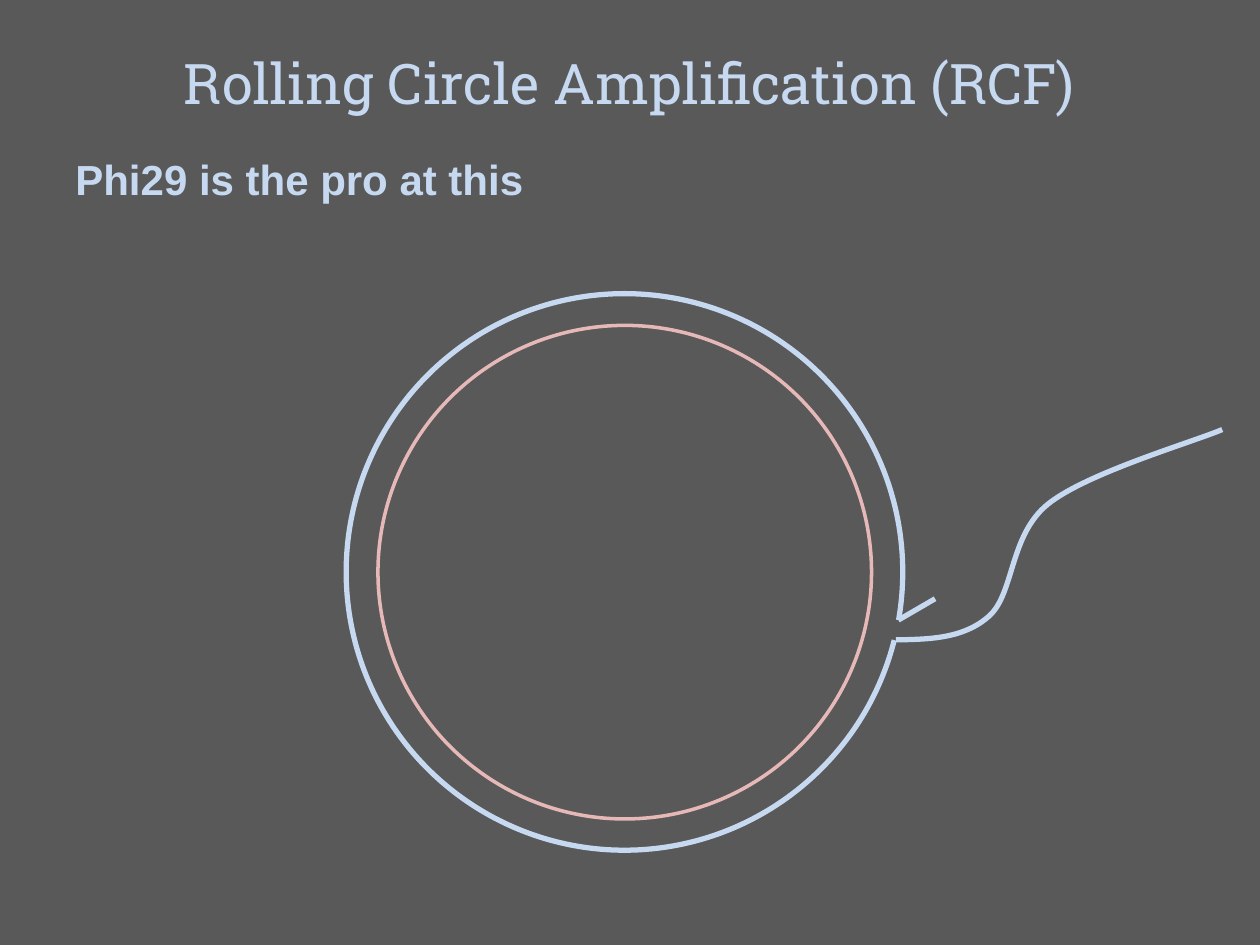
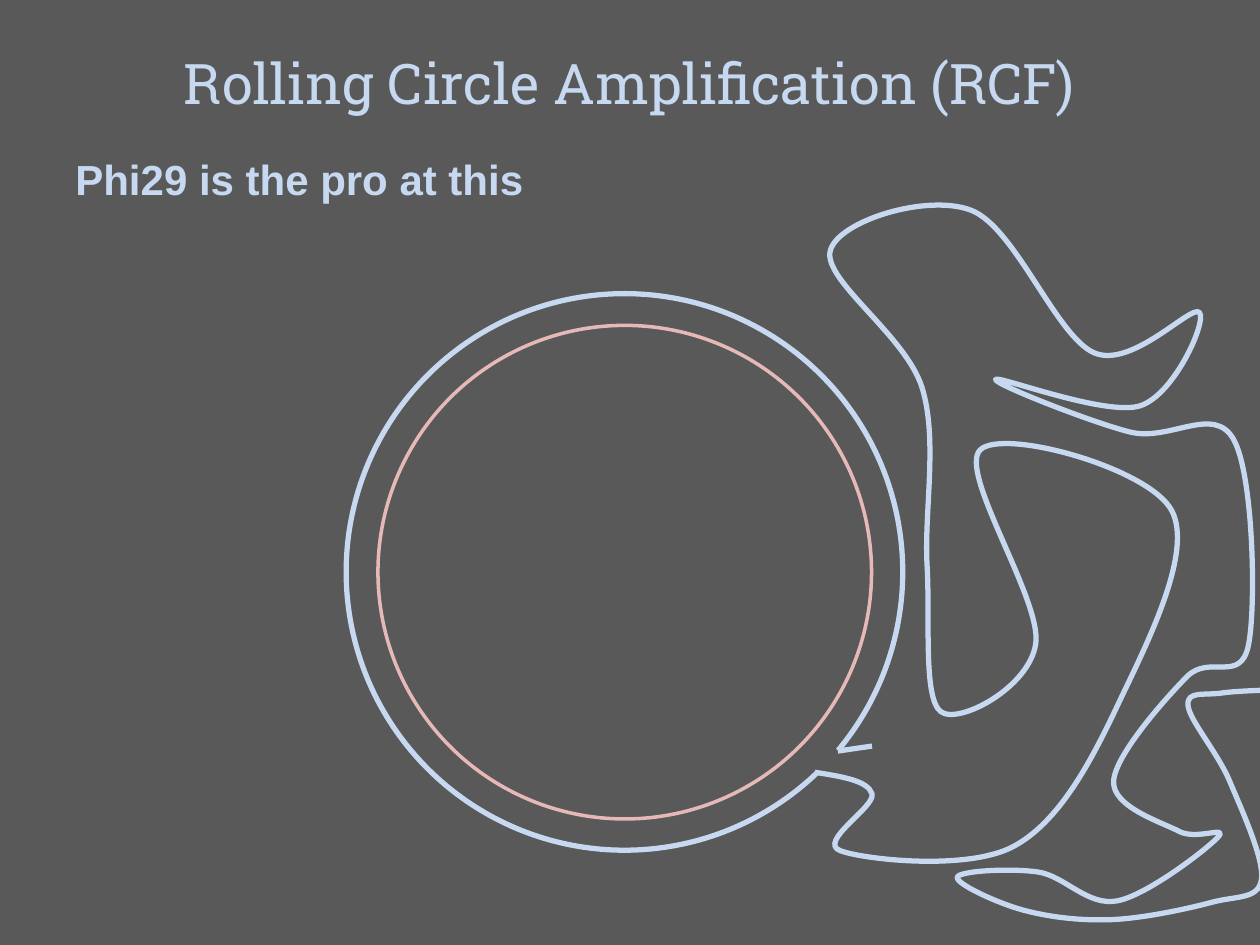
from pptx import Presentation
from pptx.dml.color import RGBColor
from pptx.enum.shapes import MSO_CONNECTOR, MSO_SHAPE
from pptx.enum.text import MSO_AUTO_SIZE, PP_ALIGN
from pptx.oxml.ns import qn
from pptx.util import Cm, Pt
from lxml import etree

COLOURS = {"background": "595959", "new_strand": "C6D9F1", "template": "E6B9B8"}

# Shared text: wording, box, size, font, bold, alignment
TEXTS = [
    ("Rolling Circle Amplification (RCF)", (0, 0.86, 25.4, 1.63),
     32, "Roboto Slab", False, PP_ALIGN.CENTER),
    ("Phi29 is the pro at this", (1.27, 2.97, 22.02, 1.27),
     24, "Arial", True, PP_ALIGN.LEFT),
]

# Each stage: arc start and end, the 3' tip, and the points the free strand passes
STAGES = [
    {
        "arc": (8.514, 5.979),
        "tip": (18.11, 12.5, 18.85, 12.07),
        "strand": [(18.06, 12.9), (19.94, 12.42), (21.13, 10.16), (24.64, 8.66)],
    },
    {
        "arc": (27.587, 23.937),
        "tip": (16.89, 15.14, 17.58, 15.04),
        "strand": [
            (16.43, 15.57), (17.58, 16), (16.94, 17.15), (20.42, 17.07),
            (22.53, 14.22), (23.62, 10.29), (19.76, 9.07), (20.88, 12.98),
            (18.97, 14.35), (18.69, 11.4), (18.59, 7.82), (16.74, 5.05),
            (19.58, 4.24), (22.05, 7.11), (24.18, 6.3), (22.99, 8.18),
            (20.07, 7.65), (22.78, 8.71), (24.87, 8.86), (25.17, 13),
            (23.93, 13.64), (22.45, 15.75), (23.77, 16.76), (24.56, 16.87),
            (22.53, 18.16), (20.93, 17.58), (19.3, 17.68), (20.6, 18.34),
            (22.4, 18.54), (24.43, 18.19), (25.43, 17.73), (24.79, 15.75),
            (23.95, 14.22), (24.64, 13.97), (26.24, 13.89),
        ],
    },
]


def add_curve(slide, stops):
    """Smooth curve through the stops; each handle is a sixth of the gap between neighbours."""
    last = len(stops) - 1
    points = []
    for i in range(last):
        start, end = stops[i], stops[i + 1]
        before, after = stops[max(i - 1, 0)], stops[min(i + 2, last)]
        leave = [s + (e - b) / 6 for s, e, b in zip(start, end, before)]
        arrive = [e - (a - s) / 6 for e, a, s in zip(end, after, start)]
        if i == 0:
            leave = [(s + h) / 2 for s, h in zip(start, arrive)]
        points += [(Cm(x), Cm(y)) for x, y in (leave, arrive, end)]
    builder = slide.shapes.build_freeform(Cm(stops[0][0]), Cm(stops[0][1]))
    builder.add_line_segments(points, close=False)
    curve = builder.convert_to_shape()

    # Every three straight segments become one Bézier segment
    segments = list(curve._element.iter(qn("a:lnTo")))
    for first, second, third in zip(segments[::3], segments[1::3], segments[2::3]):
        bezier = etree.Element(qn("a:cubicBezTo"))
        first.addprevious(bezier)
        for segment in (first, second, third):
            bezier.append(segment[0])
            segment.getparent().remove(segment)
    return curve


def style_outline(outline, colour, width):
    outline.fill.background()
    outline.line.color.rgb = RGBColor.from_string(COLOURS[colour])
    outline.line.width = Pt(width)
    outline.shadow.inherit = False


prs = Presentation()
prs.slide_width, prs.slide_height = Cm(25.4), Cm(19.05)

for stage in STAGES:
    slide = prs.slides.add_slide(prs.slide_layouts[6])
    slide.background.fill.solid()
    slide.background.fill.fore_color.rgb = RGBColor.from_string(COLOURS["background"])

    # Title and statement
    for wording, box, size, font, bold, alignment in TEXTS:
        frame = slide.shapes.add_textbox(*map(Cm, box)).text_frame
        frame.word_wrap = True
        frame.auto_size = MSO_AUTO_SIZE.SHAPE_TO_FIT_TEXT
        paragraph = frame.paragraphs[0]
        paragraph.alignment = alignment
        run = paragraph.add_run()
        run.text = wording
        run.font.size = Pt(size)
        run.font.name = font
        run.font.bold = bold
        run.font.color.rgb = RGBColor.from_string(COLOURS["new_strand"])

    # Circular template
    template = slide.shapes.add_shape(
        MSO_SHAPE.OVAL, Cm(7.62), Cm(6.56), Cm(9.95), Cm(9.95))
    style_outline(template, "template", 2)

    # New strand still on the circle
    bound_strand = slide.shapes.add_shape(
        MSO_SHAPE.ARC, Cm(6.98), Cm(5.92), Cm(11.22), Cm(11.22))
    bound_strand.adjustments[0], bound_strand.adjustments[1] = stage["arc"]
    style_outline(bound_strand, "new_strand", 3)

    # Displaced strand
    style_outline(add_curve(slide, stage["strand"]), "new_strand", 3)

    # Barb at the growing end
    tip = slide.shapes.add_connector(MSO_CONNECTOR.STRAIGHT, *map(Cm, stage["tip"]))
    tip.line.color.rgb = RGBColor.from_string(COLOURS["new_strand"])
    tip.line.width = Pt(3)
    etree.SubElement(tip._element.spPr, qn("a:effectLst"))

prs.save("out.pptx")
